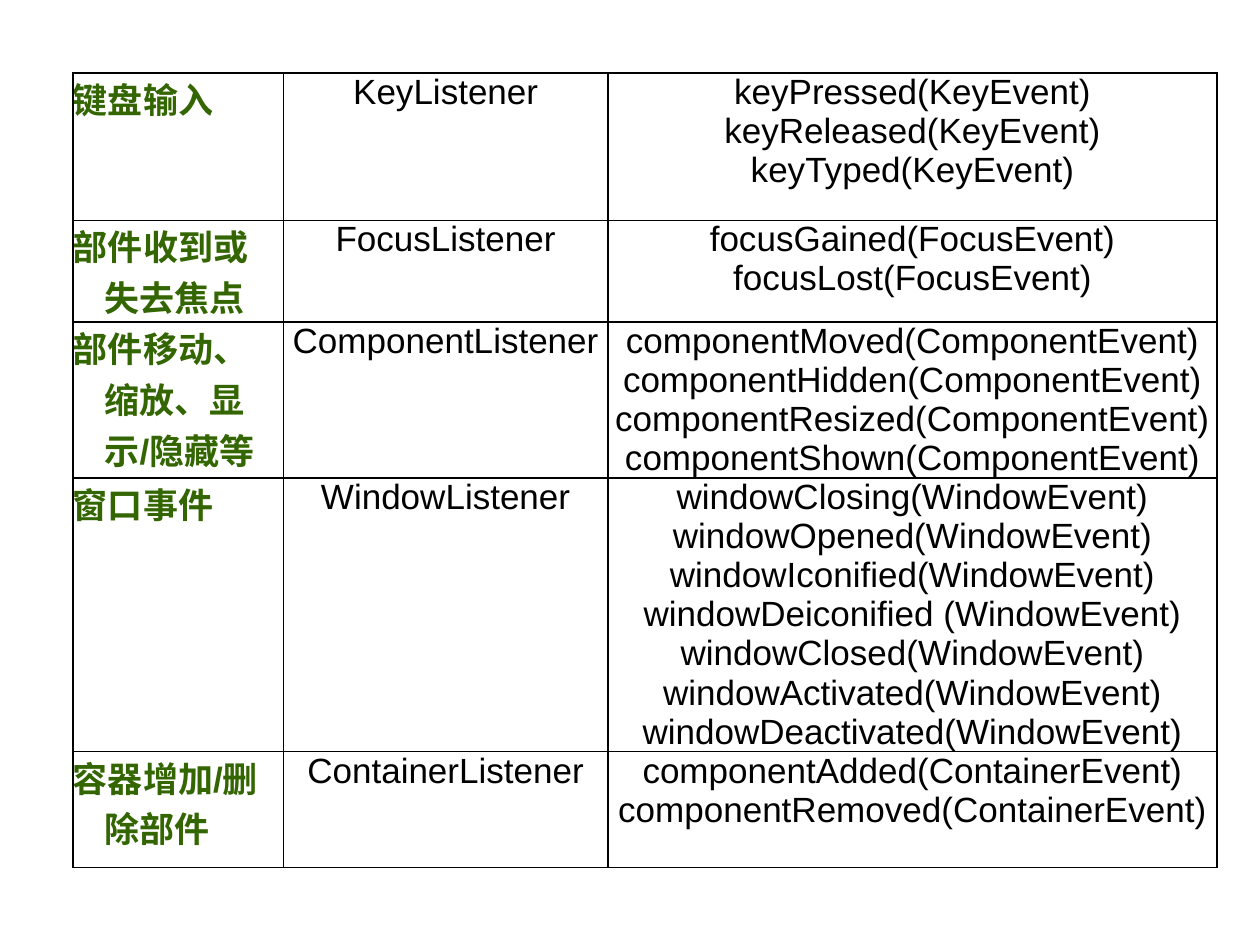
import pptx
import pptx.dml.color
import pptx.enum.text
import pptx.oxml
import pptx.oxml.ns
import pptx.util

Cm = pptx.util.Cm
Pt = pptx.util.Pt
ALIGN = pptx.enum.text.PP_ALIGN

LISTENERS = [
    ("键盘输入", "KeyListener", "KeyEvent",
     ["keyPressed", "keyReleased", "keyTyped"]),
    ("部件收到或失去焦点", "FocusListener", "FocusEvent",
     ["focusGained", "focusLost"]),
    ("部件移动、缩放、显示/隐藏等", "ComponentListener", "ComponentEvent",
     ["componentMoved", "componentHidden", "componentResized", "componentShown"]),
    ("窗口事件", "WindowListener", "WindowEvent",
     ["windowClosing", "windowOpened", "windowIconified", "windowDeiconified ",
      "windowClosed", "windowActivated", "windowDeactivated"]),
    ("容器增加/删除部件", "ContainerListener", "ContainerEvent",
     ["componentAdded", "componentRemoved"]),
]
COLUMN_WIDTHS = [4.24, 6.55, 12.27]
ROW_HEIGHTS = [2.97, 1.35, 2.69, 4.7, 2.34]
LEFT = TOP = 1.47
HANGING_INDENT = Cm(0.64)

CELL_FORMAT = {"margin_left": 0, "margin_right": 0, "margin_top": 0, "margin_bottom": 0}
FONT_FORMAT = {"name": "Arial", "size": Pt(20)}
CATEGORY = {"color": "336600", "bold": True, "alignment": ALIGN.LEFT}
CODE = {"color": "000000", "bold": False, "alignment": ALIGN.CENTER}


def set_attributes(target, values):
    for name, value in values.items():
        setattr(target, name, value)


def set_color(color_format, hex_color):
    color_format.rgb = pptx.dml.color.RGBColor.from_string(hex_color)


def add_borders(cell, hex_color="000000", width=Pt(1)):
    properties = cell._tc.get_or_add_tcPr()
    for position, side in enumerate(("lnL", "lnR", "lnT", "lnB")):
        border = pptx.oxml.parse_xml(
            f'<a:{side} {pptx.oxml.ns.nsdecls("a")} w="{width}">'
            f'<a:solidFill><a:srgbClr val="{hex_color}"/></a:solidFill></a:{side}>'
        )
        properties.insert(position, border)


def fill_cell(cell, lines, style):
    set_attributes(cell, CELL_FORMAT)
    cell.fill.background()
    add_borders(cell)
    cell.text_frame.text = "\n".join(lines)
    for paragraph in cell.text_frame.paragraphs:
        paragraph.alignment = style["alignment"]
        indents = paragraph._p.get_or_add_pPr()
        indents.set("marL", str(HANGING_INDENT))
        indents.set("indent", str(-HANGING_INDENT))
        font = paragraph.runs[0].font
        set_attributes(font, FONT_FORMAT)
        font.bold = style["bold"]
        set_color(font.color, style["color"])


def main():
    presentation = pptx.Presentation()
    presentation.slide_width = Cm(25.4)
    presentation.slide_height = Cm(19.05)
    slide = presentation.slides.add_slide(presentation.slide_layouts[6])

    table = slide.shapes.add_table(
        len(LISTENERS), len(COLUMN_WIDTHS), Cm(LEFT), Cm(TOP),
        Cm(sum(COLUMN_WIDTHS)), Cm(sum(ROW_HEIGHTS)),
    ).table
    set_attributes(table, {"first_row": False, "horz_banding": False})
    for column, width in zip(table.columns, COLUMN_WIDTHS):
        column.width = Cm(width)

    for row, height, listener in zip(table.rows, ROW_HEIGHTS, LISTENERS):
        row.height = Cm(height)
        category, interface, event, methods = listener
        calls = [f"{method}({event})" for method in methods]
        contents = [([category], CATEGORY), ([interface], CODE), (calls, CODE)]
        for cell, (lines, style) in zip(row.cells, contents):
            fill_cell(cell, lines, style)

    presentation.save("out.pptx")


if __name__ == "__main__":
    main()
